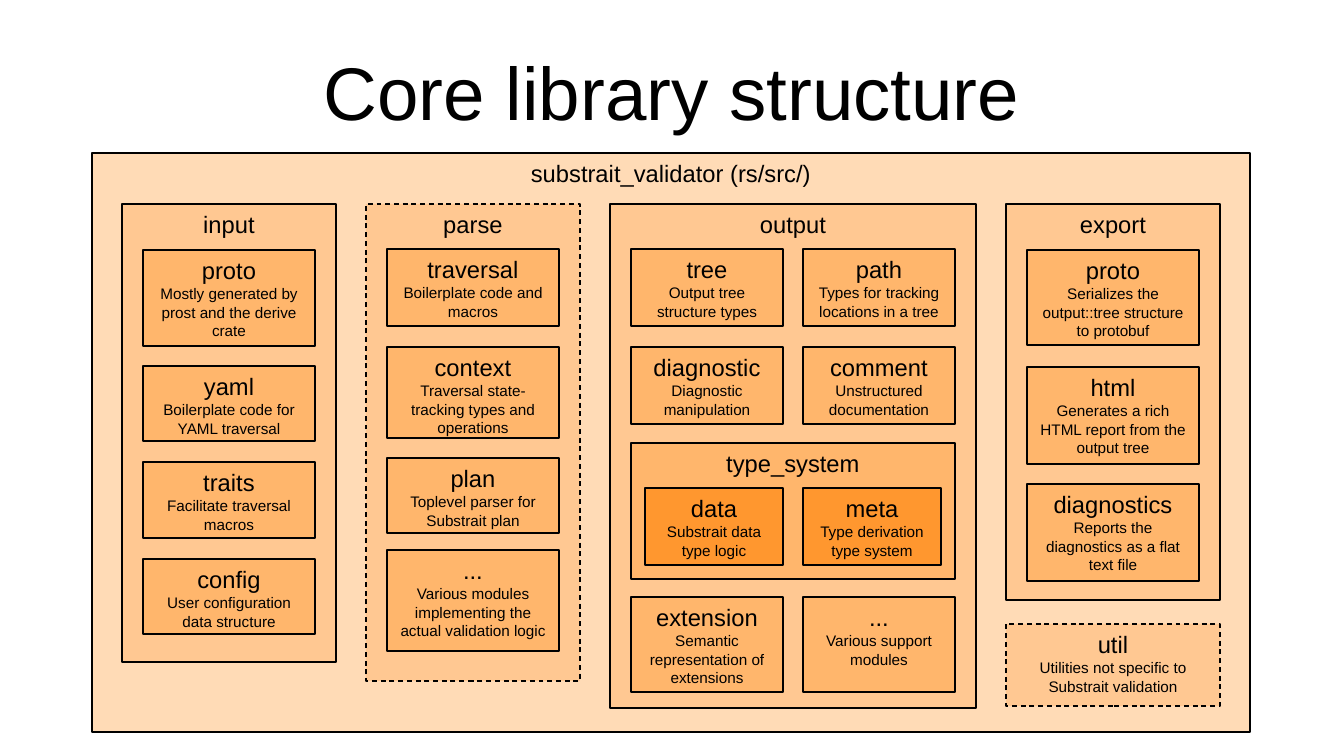
"""Build a slide that shows the modules of the core library as nested boxes."""
from pptx import Presentation
from pptx import util as u
from pptx.dml.color import RGBColor
from pptx.enum import dml, shapes, text

PX = 914400 / 122
COLORS = {"crate": "FFDBB6", "module": "FFC892", "part": "FFB66C",
          "detail": "FF972F", "ink": "000000"}
FONT = "Arial"
COLUMN_TOP, COLUMN_W, PAD = 204, 214, 21

COLUMNS = [
    ("input", 122, 458, False, [
        ("proto", "Mostly generated by prost and the derive crate", 250, 96),
        ("yaml", "Boilerplate code for YAML traversal", 366, 75),
        ("traits", "Facilitate traversal macros", 462, 76),
        ("config", "User configuration data structure", 559, 75)]),
    ("parse", 366, 477, True, [
        ("traversal", "Boilerplate code and macros", 249, 77),
        ("context", "Traversal state-tracking types and operations", 347, 91),
        ("plan", "Toplevel parser for Substrait plan", 458, 75),
        ("...", "Various modules implementing the actual validation logic", 550, 101)]),
    ("export", 1006, 396, False, [
        ("proto", "Serializes the output::tree structure to protobuf", 250, 95),
        ("html", "Generates a rich HTML report from the output tree", 367, 97),
        ("diagnostics", "Reports the diagnostics as a flat text file", 484, 97)]),
]
OUTPUT_X, OUTPUT_W, OUTPUT_H = 610, 366, 504
OUTPUT_LEFT, OUTPUT_RIGHT, OUTPUT_PART_W, DETAIL_W = 631, 803, 152, 138
OUTPUT_ROWS = [
    (249, 77, ("tree", "Output tree structure types"),
     ("path", "Types for tracking locations in a tree")),
    (347, 77, ("diagnostic", "Diagnostic manipulation"),
     ("comment", "Unstructured documentation")),
    (597, 95, ("extension", "Semantic representation of extensions"),
     ("...", "Various support modules")),
]


def px(n):
    return u.Emu(round(n * PX))


def style(p, size):
    p.alignment = text.PP_ALIGN.CENTER
    p.font.name = FONT
    p.font.size = u.Pt(size)
    p.font.color.rgb = RGBColor.from_string(COLORS["ink"])


def add_title(s, words):
    sp = s.shapes.title
    sp.left, sp.top, sp.width, sp.height = px(67), px(30), px(1210), px(122)
    tf = sp.text_frame
    tf.margin_left = tf.margin_right = tf.margin_top = tf.margin_bottom = 0
    tf.vertical_anchor = text.MSO_ANCHOR.MIDDLE
    tf.text = words
    style(tf.paragraphs[0], 44)


def add_box(s, x, y, w, h, level, name, about=None, dashed=False):
    sp = s.shapes.add_shape(shapes.MSO_SHAPE.RECTANGLE, px(x), px(y), px(w), px(h))
    sp.shadow.inherit = False
    sp.fill.solid()
    sp.fill.fore_color.rgb = RGBColor.from_string(COLORS[level])
    sp.line.color.rgb = RGBColor.from_string(COLORS["ink"])
    sp.line.width = 0
    if dashed:
        sp.line.dash_style = dml.MSO_LINE.DASH
    tf = sp.text_frame
    tf.word_wrap = True
    tf.vertical_anchor = text.MSO_ANCHOR.TOP
    tf.text = name
    style(tf.paragraphs[0], 14)
    if about:
        p = tf.add_paragraph()
        p.text = about
        style(p, 9)


def add_column(s, name, x, h, dashed, parts):
    add_box(s, x, COLUMN_TOP, COLUMN_W, h, "module", name, dashed=dashed)
    for part, about, y, part_h in parts:
        add_box(s, x + PAD, y, COLUMN_W - 2 * PAD, part_h, "part", part, about)


def add_output(s):
    add_box(s, OUTPUT_X, COLUMN_TOP, OUTPUT_W, OUTPUT_H, "module", "output")
    for y, h, left, right in OUTPUT_ROWS:
        add_box(s, OUTPUT_LEFT, y, OUTPUT_PART_W, h, "part", *left)
        add_box(s, OUTPUT_RIGHT, y, OUTPUT_PART_W, h, "part", *right)
    add_box(s, OUTPUT_LEFT, 443, OUTPUT_W - 2 * PAD, 136, "part", "type_system")
    inner_left = OUTPUT_LEFT + OUTPUT_PART_W - DETAIL_W
    add_box(s, inner_left, 488, DETAIL_W, 77, "detail", "data", "Substrait data type logic")
    add_box(s, OUTPUT_RIGHT, 488, DETAIL_W, 77, "detail", "meta", "Type derivation type system")


def main():
    prs = Presentation()
    prs.slide_width, prs.slide_height = px(1344), px(756)
    s = prs.slides.add_slide(prs.slide_layouts[5])
    add_title(s, "Core library structure")
    add_box(s, 92, 153, 1158, 579, "crate", "substrait_validator (rs/src/)")
    for column in COLUMNS:
        add_column(s, *column)
    add_output(s)
    add_box(s, 1006, 624, COLUMN_W, 82, "module", "util",
            "Utilities not specific to Substrait validation", dashed=True)
    prs.save("out.pptx")


if __name__ == "__main__":
    main()
